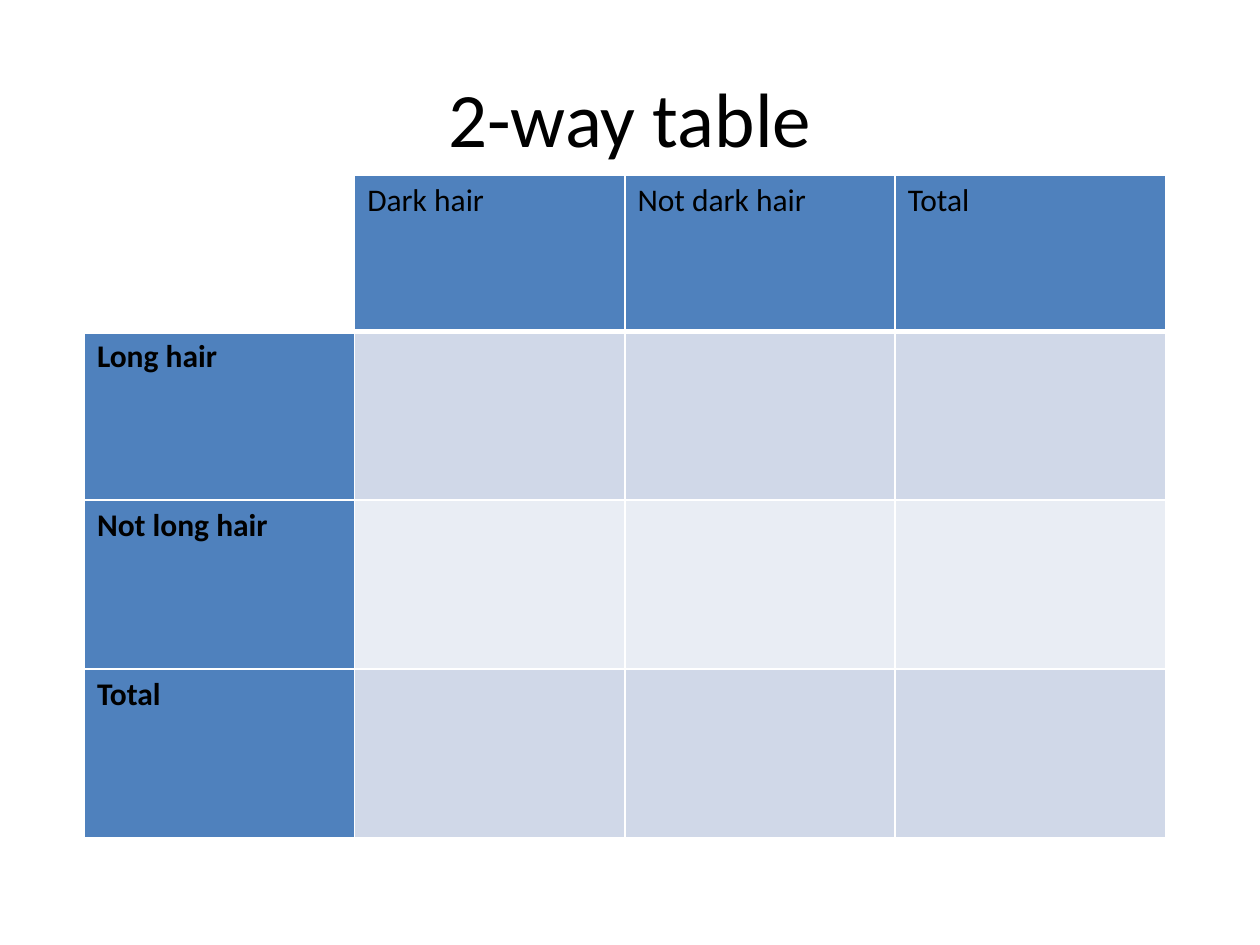
import pptx
import pptx.util
import pptx.dml.color
import pptx.enum.text
import pptx.oxml.ns
import lxml.etree

Inches = pptx.util.Inches
Pt = pptx.util.Pt
RGBColor = pptx.dml.color.RGBColor
qn = pptx.oxml.ns.qn

WHITE = RGBColor(0xFF, 0xFF, 0xFF)
BLACK = RGBColor(0x00, 0x00, 0x00)
BLUE = RGBColor(0x4F, 0x81, 0xBD)
BANDS = [RGBColor(0xE9, 0xED, 0xF4), RGBColor(0xD0, 0xD8, 0xE8)]

HEADS = ["", "Dark hair", "Not dark hair", "Total"]
SIDES = ["", "Long hair", "Not long hair", "Total"]


def style(par, size, bold):
    for run in par.runs:
        run.font.name = "Calibri"
        run.font.size = Pt(size)
        run.font.bold = bold
        run.font.color.rgb = BLACK


def border(cell, side, width):
    props = cell._tc.get_or_add_tcPr()
    line = lxml.etree.SubElement(props, qn("a:" + side), w=str(Pt(width)))
    fill = lxml.etree.SubElement(line, qn("a:solidFill"))
    lxml.etree.SubElement(fill, qn("a:srgbClr"), val=str(WHITE))


deck = pptx.Presentation()
deck.slide_width = Inches(10)
deck.slide_height = Inches(7.5)
slide = deck.slides.add_slide(deck.slide_layouts[6])

title = slide.shapes.add_textbox(Inches(0.5), Inches(0.3), Inches(9), Inches(1.25))
frame = title.text_frame
frame.word_wrap = True
frame.vertical_anchor = pptx.enum.text.MSO_ANCHOR.MIDDLE
frame.text = "2-way table"
frame.paragraphs[0].alignment = pptx.enum.text.PP_ALIGN.CENTER
style(frame.paragraphs[0], 44, False)

table = slide.shapes.add_table(
    4, 4, Inches(0.67), Inches(1.39), Inches(8.58), Inches(5.26)
).table
for col in table.columns:
    col.width = Inches(2.145)
for r, row in enumerate(table.rows):
    row.height = Inches(1.34 if r else 1.24)
    for c, cell in enumerate(row.cells):
        for side in ("lnL", "lnR", "lnT", "lnB"):
            border(cell, side, 3 if r == 0 and side == "lnB" else 1)
        cell.fill.solid()
        if r and c:
            cell.fill.fore_color.rgb = BANDS[r % 2]
        elif r or c:
            cell.fill.fore_color.rgb = BLUE
            cell.text_frame.text = SIDES[r] if r else HEADS[c]
            style(cell.text_frame.paragraphs[0], 18, r > 0)
        else:
            cell.fill.fore_color.rgb = WHITE

deck.save("out.pptx")
